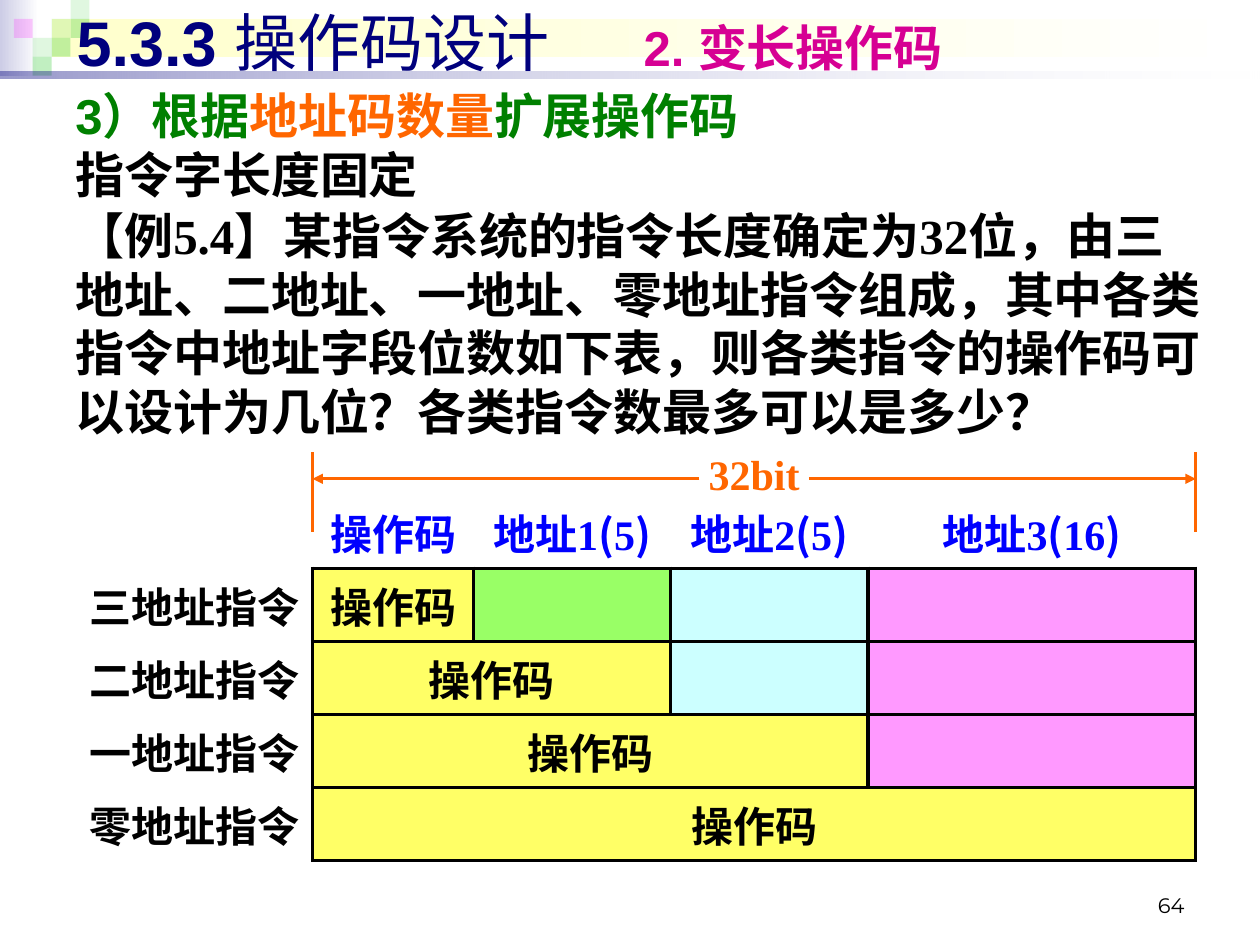
from dataclasses import dataclass

from lxml import etree
from pptx import Presentation
from pptx.dml.color import RGBColor
from pptx.enum.shapes import MSO_CONNECTOR, MSO_SHAPE
from pptx.enum.text import MSO_ANCHOR, PP_ALIGN
from pptx.oxml.ns import qn
from pptx.util import Inches, Pt

LEFT, CENTER, RIGHT = PP_ALIGN.LEFT, PP_ALIGN.CENTER, PP_ALIGN.RIGHT
TOP, MIDDLE, BOTTOM = MSO_ANCHOR.TOP, MSO_ANCHOR.MIDDLE, MSO_ANCHOR.BOTTOM
RECTANGLE, STRAIGHT = MSO_SHAPE.RECTANGLE, MSO_CONNECTOR.STRAIGHT


@dataclass(frozen=True)
class Theme:
    navy: str = "00007D"
    magenta: str = "D60093"
    green: str = "008000"
    orange: str = "FF6600"
    blue: str = "0000FF"
    black: str = "000000"
    white: str = "FFFFFF"
    lavender: str = "CDCDE6"
    cream: str = "FFFFCC"
    leaf: str = "33CC33"
    pink: str = "FF00FF"
    opcode: str = "FFFF66"
    addresses: tuple = ("99FF66", "CCFFFF", "FF99FF")
    sans: str = "Arial"
    serif: str = "Times New Roman"
    chinese: str = "Noto Sans CJK SC"
    number: str = "Montserrat"
    title_size: int = 36
    body_size: int = 28
    table_size: int = 24
    number_size: int = 12
    body_pitch: float = 33.6
    border: float = 2.25
    rule: float = 1.5


THEME = Theme()


def add_xml(parent, tag, **attributes):
    return etree.SubElement(parent, qn(tag), attributes)


def style(size, color, name=THEME.serif, bold=True):
    return {"size": Pt(size), "bold": bold, "name": name, "color": color}


def write(para, pieces, align=LEFT):
    """Fill a paragraph with (text, style) pieces."""
    para.alignment = align
    for text, values in pieces:
        span = para.add_run()
        span.text = text
        for key, value in values.items():
            if key == "color":
                span.font.color.rgb = RGBColor.from_string(value)
            else:
                setattr(span.font, key, value)
        add_xml(span.font._element, "a:ea", typeface=THEME.chinese)


def add_text(page, box, pieces, align=LEFT, anchor=TOP, pitch=None):
    frame = page.shapes.add_textbox(*map(Inches, box)).text_frame
    frame.word_wrap = True
    frame.vertical_anchor = anchor
    para = frame.paragraphs[0]
    if pitch:
        para.line_spacing = Pt(pitch)
        frame.margin_top = Inches(0.08)
    write(para, pieces, align)


def set_alpha(fill_element, percents):
    for color, percent in zip(fill_element.iter(qn("a:srgbClr")), percents):
        add_xml(color, "a:alpha", val=str(percent * 1000))


def add_block(page, box, colors, alphas=()):
    """Borderless rectangle: one colour is solid, two make a gradient."""
    block = page.shapes.add_shape(RECTANGLE, *map(Inches, box))
    block.shadow.inherit = False
    block.line.fill.background()
    if len(colors) == 1:
        block.fill.solid()
        block.fill.fore_color.rgb = RGBColor.from_string(colors[0])
    else:
        block.fill.gradient()
        block.fill.gradient_angle = 0
        for stop, color in zip(block.fill.gradient_stops, colors):
            stop.color.rgb = RGBColor.from_string(color)
    set_alpha(block._element.spPr, alphas)


def add_line(page, start, end, arrow=False):
    line = page.shapes.add_connector(STRAIGHT, *map(Inches, start + end))
    line.line.color.rgb = RGBColor.from_string(THEME.orange)
    line.line.width = Pt(THEME.rule)
    if arrow:
        add_xml(line.line._get_or_add_ln(), "a:tailEnd", type="triangle")
    add_xml(line._element.spPr, "a:effectLst")


def add_banner(page, left, top, width):
    # Gradient bands
    add_block(page, (left, top, 0.31, 0.6), (THEME.lavender, THEME.white))
    add_block(page, (left + 0.41, top + 0.15, width - 0.45, 0.3), (THEME.cream, THEME.white))
    # Mosaic: column, row, colour, opacity
    side = 0.15
    tiles = [(2, 1, THEME.leaf, 15), (3, 0, THEME.leaf, 15), (3, 1, THEME.leaf, 30),
             (1, 2, THEME.leaf, 15), (0, 1, THEME.pink, 20), (2, 2, THEME.leaf, 30),
             (1, 3, THEME.leaf, 30)]
    for column, row, color, alpha in tiles:
        box = (left + 0.11 + column * side, top + row * side, side, side)
        add_block(page, box, (color,), (alpha,))
    # Underline
    add_block(page, (left, top + 0.57, width, 0.05), (THEME.navy, THEME.white), (40, 10))


def add_title(page, box):
    title = style(THEME.title_size, THEME.navy, THEME.sans)
    add_text(page, box, [
        ("5.3.3 ", title),
        ("操作码设计\t\t", title | {"bold": False}),
        ("2. 变长操作码", style(THEME.body_size, THEME.magenta, THEME.sans)),
    ], anchor=MIDDLE)


def add_problem(page, left, top, width):
    green = style(THEME.body_size, THEME.green, THEME.sans)
    black = style(THEME.body_size, THEME.black)
    parts = [
        (0, 0.63, [("3）根据", green), ("地址码数量", green | {"color": THEME.orange}),
                   ("扩展操作码", green)]),
        (0.47, 0.63, [("指令字长度固定", black)]),
        (0.95, 1.97, [("【例5.4】某指令系统的指令长度确定为32位，由三地址、二地址、一地址、"
                       "零地址指令组成，其中各类指令中地址字段位数如下表，则各类指令的操作码"
                       "可以设计为几位？各类指令数最多可以是多少？", black)]),
    ]
    for offset, height, pieces in parts:
        add_text(page, (left, top + offset, width, height), pieces, pitch=THEME.body_pitch)


def set_borders(cell, sides):
    properties = cell._tc.get_or_add_tcPr()
    for index, side in enumerate("LRTB"):
        if side in sides:
            line = etree.Element(qn(f"a:ln{side}"), w=str(Pt(THEME.border)))
            color = add_xml(add_xml(line, "a:solidFill"), "a:srgbClr", val=THEME.black)
        else:
            line = etree.Element(qn(f"a:ln{side}"), w="0")
            add_xml(line, "a:noFill")
        properties.insert(index, line)


def fill_cell(cell, pieces=(), align=CENTER, color=None, borders=""):
    cell.vertical_anchor = MIDDLE
    if color:
        cell.fill.solid()
        cell.fill.fore_color.rgb = RGBColor.from_string(color)
    else:
        cell.fill.background()
    set_borders(cell, borders)
    write(cell.text_frame.paragraphs[0], pieces, align)


def add_format_table(page, left, top):
    widths = (2.13, 1.28, 1.56, 1.57, 2.6)
    labels = ("三地址指令", "二地址指令", "一地址指令", "零地址指令")
    count, height = len(labels) + 1, 0.58
    box = (left, top, sum(widths), count * height)
    table = page.shapes.add_table(count, len(widths), *map(Inches, box)).table
    table.first_row = table.horz_banding = False
    for column, width in zip(table.columns, widths):
        column.width = Inches(width)
    black = style(THEME.table_size, THEME.black)
    blue = style(THEME.table_size, THEME.blue)
    bracket = blue | {"name": THEME.chinese}

    # Field names
    fill_cell(table.cell(0, 0))
    fill_cell(table.cell(0, 1), [("操作码", blue)], borders="B")
    for number, bits in enumerate(("5", "5", "16"), 1):
        pieces = [(f"地址{number}", blue), ("(", bracket), (bits, blue), (")", bracket)]
        fill_cell(table.cell(0, number + 1), pieces, borders="B")

    # Each row gives one more address field to the opcode
    for row, label in enumerate(labels, 1):
        fill_cell(table.cell(row, 0), [(label, black)], RIGHT, borders="R")
        for column in range(1, len(widths)):
            color = THEME.opcode if column <= row else THEME.addresses[column - 2]
            pieces = [("操作码", black)] if column == 1 else ()
            fill_cell(table.cell(row, column), pieces, color=color, borders="LRTB")
        if row > 1:
            table.cell(row, 1).merge(table.cell(row, row))


def add_dimension(page, left, top, width):
    """Word length marked between two end ticks."""
    right, middle = left + width, top + 0.29
    for x in (left, right):
        add_line(page, (x, top + 0.08), (x, top + 0.71))
    add_text(page, (left, top, width, 0.5),
             [("32bit", style(THEME.table_size, THEME.orange))], CENTER)
    add_line(page, (left + 3.07, middle), (left, middle), arrow=True)
    add_line(page, (right - 3.07, middle), (right, middle), arrow=True)


def add_page_number(page, box):
    number = style(THEME.number_size, THEME.black, THEME.number, bold=False)
    add_text(page, box, [("64", number)], RIGHT, BOTTOM)


def main():
    deck = Presentation()
    deck.slide_width, deck.slide_height = Inches(10), Inches(7.5)
    page = deck.slides.add_slide(deck.slide_layouts[6])
    add_banner(page, 0, 0, 10)
    add_title(page, (0.51, -0.03, 9.37, 0.71))
    add_problem(page, 0.5, 0.6, 9.22)
    add_page_number(page, (7.17, 6.83, 2.33, 0.5))
    add_format_table(page, 0.35, 3.93)
    add_dimension(page, 2.48, 3.51, 7.01)
    deck.save("out.pptx")


if __name__ == "__main__":
    main()
